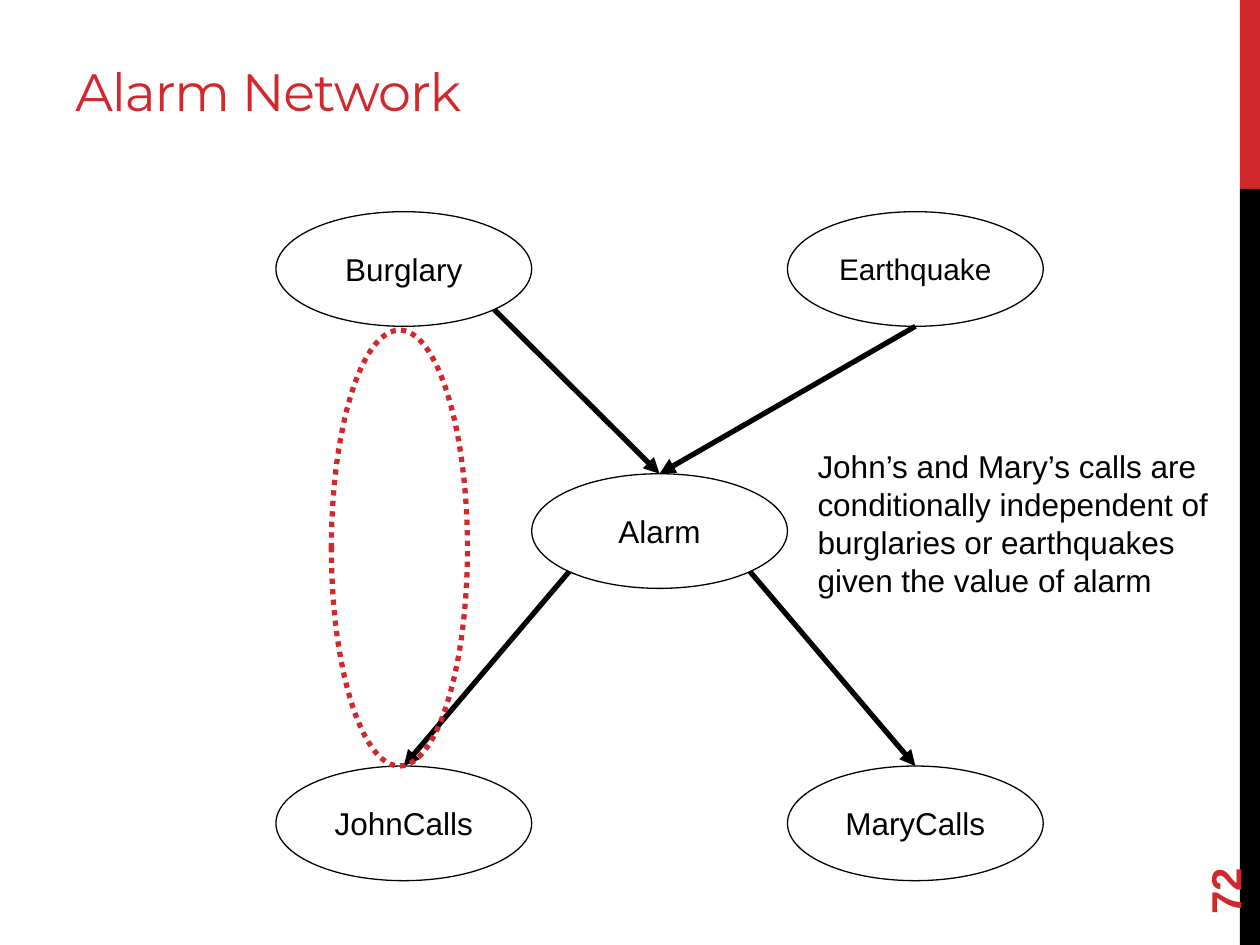
import math

from lxml import etree
from pptx import Presentation
from pptx.dml.color import RGBColor
from pptx.enum.dml import MSO_LINE
from pptx.enum.shapes import MSO_CONNECTOR, MSO_SHAPE
from pptx.enum.text import MSO_ANCHOR, PP_ALIGN
from pptx.oxml.ns import qn
from pptx.util import Inches, Pt

RECT, OVAL = MSO_SHAPE.RECTANGLE, MSO_SHAPE.OVAL
STRAIGHT = MSO_CONNECTOR.STRAIGHT
TOP, MIDDLE, BOTTOM = MSO_ANCHOR.TOP, MSO_ANCHOR.MIDDLE, MSO_ANCHOR.BOTTOM
LEFT, CENTER = PP_ALIGN.LEFT, PP_ALIGN.CENTER
DOT = MSO_LINE.ROUND_DOT

COLORS = {"red": "D1282E", "black": "000000", "white": "FFFFFF"}
NODE_W, NODE_H = 2.03, 0.91
# name: (column, row, text size)
NODES = {
    "Burglary": (0, 0, 18),
    "Alarm": (1, 1, 18),
    "JohnCalls": (0, 2, 18),
    "MaryCalls": (2, 2, 18),
    "Earthquake": (2, 0, 17),
}
ROW_TOPS = (0, 2.08, 4.4)
# parent, child, side of the parent's bottom half: -1 left, 0 middle, 1 right
EDGES = [
    ("Alarm", "JohnCalls", -1),
    ("Alarm", "MaryCalls", 1),
    ("Burglary", "Alarm", 1),
    ("Earthquake", "Alarm", 0),
]


def rgb(name):
    return RGBColor.from_string(COLORS[name])


def add_shape(s, kind, box, fill=None, line=None, width=0.75):
    sp = s.shapes.add_shape(kind, *map(Inches, box))
    sp.shadow.inherit = False
    if fill:
        sp.fill.solid()
        sp.fill.fore_color.rgb = rgb(fill)
    else:
        sp.fill.background()
    if line:
        sp.line.color.rgb = rgb(line)
        sp.line.width = Pt(width)
    else:
        sp.line.fill.background()
    return sp


def write(sp, text, size, color="black", font="Arial", anchor=MIDDLE,
          align=LEFT, inset=0.1, bold=False):
    tf = sp.text_frame
    tf.word_wrap = True
    tf.vertical_anchor = anchor
    tf.margin_left = tf.margin_right = Inches(0.1)
    tf.margin_top = tf.margin_bottom = Inches(inset)
    p = tf.paragraphs[0]
    p.alignment = align
    r = p.add_run()
    r.text = text
    r.font.size = Pt(size)
    r.font.name = font
    r.font.bold = bold
    r.font.color.rgb = rgb(color)
    return r


def add_side_band(s, x, y, w, h):
    red_h = h / 5
    add_shape(s, RECT, (x, y, w, red_h), "red")
    add_shape(s, RECT, (x, y + red_h, w, h - red_h), "black")


def add_title(s, box, text):
    sp = s.shapes.add_textbox(*map(Inches, box))
    r = write(sp, text, 30, "red", "Montserrat", BOTTOM, inset=0.05)
    r.font._element.set("spc", "-60")


def add_page_number(s, box, text):
    sp = s.shapes.add_textbox(*map(Inches, box))
    sp.rotation = 270
    write(sp, text, 24, "red", inset=0.05, bold=True)


def add_arrow(s, parent, child, side):
    """Join the lower edge of one node to the top of another."""
    slant = math.sqrt(0.5)
    dx, dy = (side * slant, slant) if side else (0, 1)
    x = int(parent.left + parent.width * (1 + dx) / 2)
    y = int(parent.top + parent.height * (1 + dy) / 2)
    line = s.shapes.add_connector(STRAIGHT, x, y, child.left, child.top)
    line.end_connect(child, 0)
    line.line.color.rgb = rgb("black")
    line.line.width = Pt(3)
    ln = line.line._get_or_add_ln()
    etree.SubElement(ln, qn("a:tailEnd"), type="triangle")
    etree.SubElement(line._element.spPr, qn("a:effectLst"))


def add_network(s, x, y):
    nodes = {}
    for name, (col, row, size) in NODES.items():
        box = (x + col * NODE_W, y + ROW_TOPS[row], NODE_W, NODE_H)
        nodes[name] = add_shape(s, OVAL, box, line="black")
        write(nodes[name], name, size, align=CENTER)
    for parent, child, side in EDGES:
        add_arrow(s, nodes[parent], nodes[child], side)


def add_note(s, box, text):
    write(add_shape(s, RECT, box, "white"), text, 18, anchor=TOP)


def add_dotted_ring(s, box):
    ring = add_shape(s, OVAL, box, line="red", width=3)
    ring.line.dash_style = DOT


def main():
    prs = Presentation()
    prs.slide_width, prs.slide_height = Inches(10), Inches(7.5)
    s = prs.slides.add_slide(prs.slide_layouts[6])
    add_side_band(s, 9.84, 0, 0.16, 7.5)
    add_title(s, (0.5, 0.17, 8.84, 0.85), "Alarm Network")
    add_page_number(s, (9, 6.44, 1.44, 0.4), "72")
    add_network(s, 2.19, 1.68)
    add_note(s, (6.39, 3.45, 3.44, 1.3),
             "John’s and Mary’s calls are conditionally independent of "
             "burglaries or earthquakes given the value of alarm")
    add_dotted_ring(s, (2.63, 2.62, 1.08, 3.46))
    prs.save("out.pptx")


if __name__ == "__main__":
    main()
